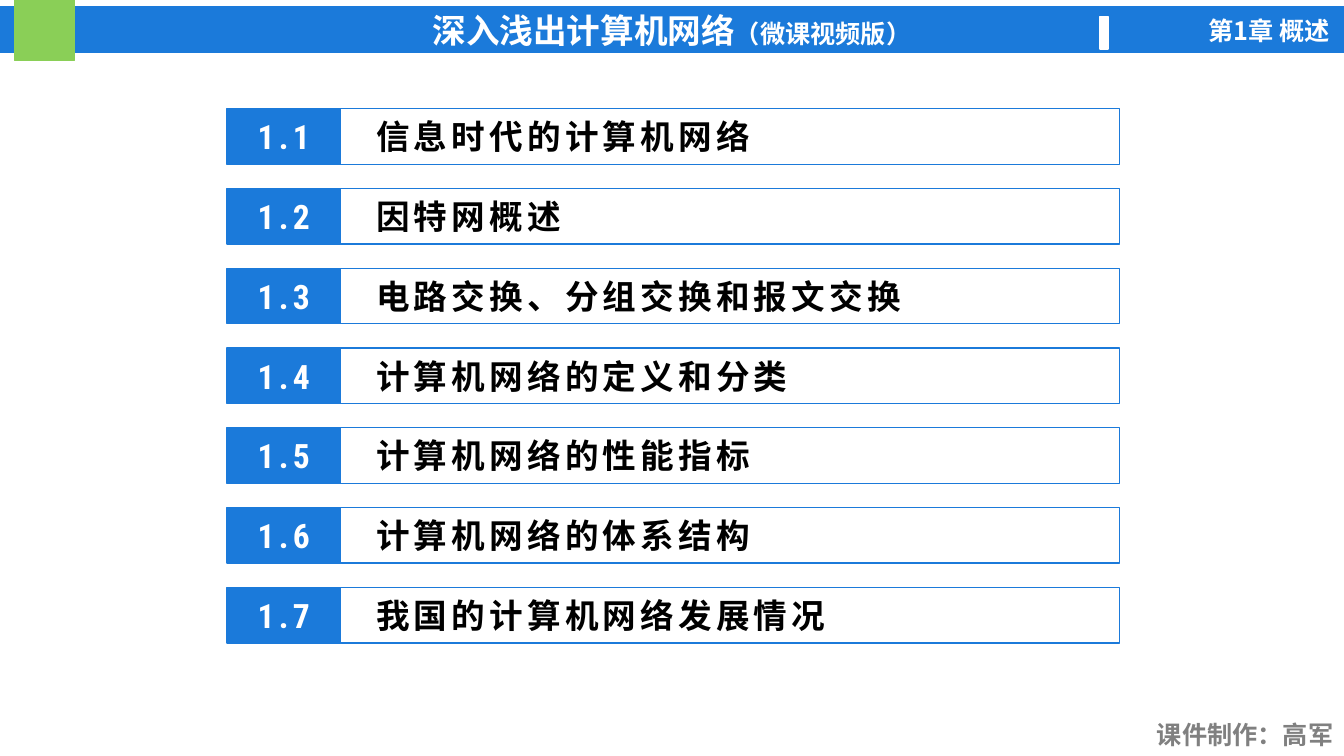
from pptx import Presentation
from pptx.dml.color import RGBColor
from pptx.enum.shapes import MSO_SHAPE
from pptx.enum.text import MSO_ANCHOR, PP_ALIGN
from pptx.oxml.ns import qn
from pptx.util import Cm, Pt

RECTANGLE = MSO_SHAPE.RECTANGLE
LEFT, CENTER, RIGHT = PP_ALIGN.LEFT, PP_ALIGN.CENTER, PP_ALIGN.RIGHT
TOP, MIDDLE = MSO_ANCHOR.TOP, MSO_ANCHOR.MIDDLE

SLIDE_WIDTH, SLIDE_HEIGHT = 33.87, 19.05
SECTIONS = [
    "信息时代的计算机网络",
    "因特网概述",
    "电路交换、分组交换和报文交换",
    "计算机网络的定义和分类",
    "计算机网络的性能指标",
    "计算机网络的体系结构",
    "我国的计算机网络发展情况",
]


def color(value):
    return RGBColor.from_string(value)


class ContentsSlide:
    blue, green, white = "1B7ADA", "8ACF57", "FFFFFF"
    black, gray = "000000", "808080"
    title_font, section_font = "Arial Narrow", "Roboto Condensed"
    chinese_font = "Noto Sans CJK SC"

    def __init__(self, presentation):
        self.slide = presentation.slides.add_slide(presentation.slide_layouts[6])

    def rectangle(self, left, top, width, height, fill=None, line=None):
        shape = self.slide.shapes.add_shape(
            RECTANGLE, Cm(left), Cm(top), Cm(width), Cm(height))
        shape.shadow.inherit = False
        if fill:
            shape.fill.solid()
            shape.fill.fore_color.rgb = color(fill)
        else:
            shape.fill.background()
        shape.line.color.rgb = color(line or fill)
        shape.line.width = Pt(1)
        return shape

    def text_box(self, left, top, width, height):
        return self.slide.shapes.add_textbox(
            Cm(left), Cm(top), Cm(width), Cm(height))

    def add_text(self, shape, runs, font, text_color, alignment,
                 anchor=MIDDLE, spacing=0, inset=0.25):
        frame = shape.text_frame
        frame.word_wrap = True
        frame.vertical_anchor = anchor
        frame.margin_left = Cm(inset)
        paragraph = frame.paragraphs[0]
        paragraph.alignment = alignment
        for text, size in runs:
            run = paragraph.add_run()
            run.text = text
            run.font.size = Pt(size)
            run.font.bold = True
            run.font.color.rgb = color(text_color)
            run.font.name = font
            properties = run._r.get_or_add_rPr()
            east_asian = properties.makeelement(
                qn("a:ea"), {"typeface": self.chinese_font})
            properties.find(qn("a:latin")).addnext(east_asian)
            if spacing:
                properties.set("spc", str(spacing * 100))

    def header(self):
        bar = self.rectangle(0, 0.18, SLIDE_WIDTH, 1.14, self.blue)
        self.add_text(bar, [("深入浅出计算机网络", 24), ("（微课视频版）", 18)],
                      self.title_font, self.white, CENTER)
        self.rectangle(0.36, 0, 1.52, 1.52, self.green)
        self.rectangle(27.72, 0.42, 0.2, 0.82, self.white)
        chapter = self.text_box(28.22, 0.25, 5.54, 1.02)
        self.add_text(chapter, [("第1章 概述", 18)], self.chinese_font,
                      self.white, RIGHT, TOP)

    def footer(self):
        author = self.text_box(28.8, 18.01, 5.05, 1.02)
        self.add_text(author, [("课件制作：高军", 18)], self.title_font,
                      self.gray, RIGHT, TOP)

    def section(self, top, number, title):
        left, number_width, title_width, height = 5.72, 2.86, 19.63, 1.4
        number_box = self.rectangle(left, top, number_width, height, self.blue)
        self.add_text(number_box, [(number, 24)], self.section_font,
                      self.white, CENTER, spacing=3)
        title_box = self.rectangle(left + number_width, top, title_width,
                                   height, line=self.blue)
        self.add_text(title_box, [(title, 24)], self.section_font,
                      self.black, LEFT, spacing=3, inset=0.9)


def main():
    presentation = Presentation()
    presentation.slide_width = Cm(SLIDE_WIDTH)
    presentation.slide_height = Cm(SLIDE_HEIGHT)
    contents = ContentsSlide(presentation)
    contents.header()
    contents.footer()
    first_top, row_step = 2.74, 2.01
    for index, title in enumerate(SECTIONS):
        contents.section(first_top + index * row_step, f"1.{index + 1}", title)
    presentation.save("out.pptx")


if __name__ == "__main__":
    main()
